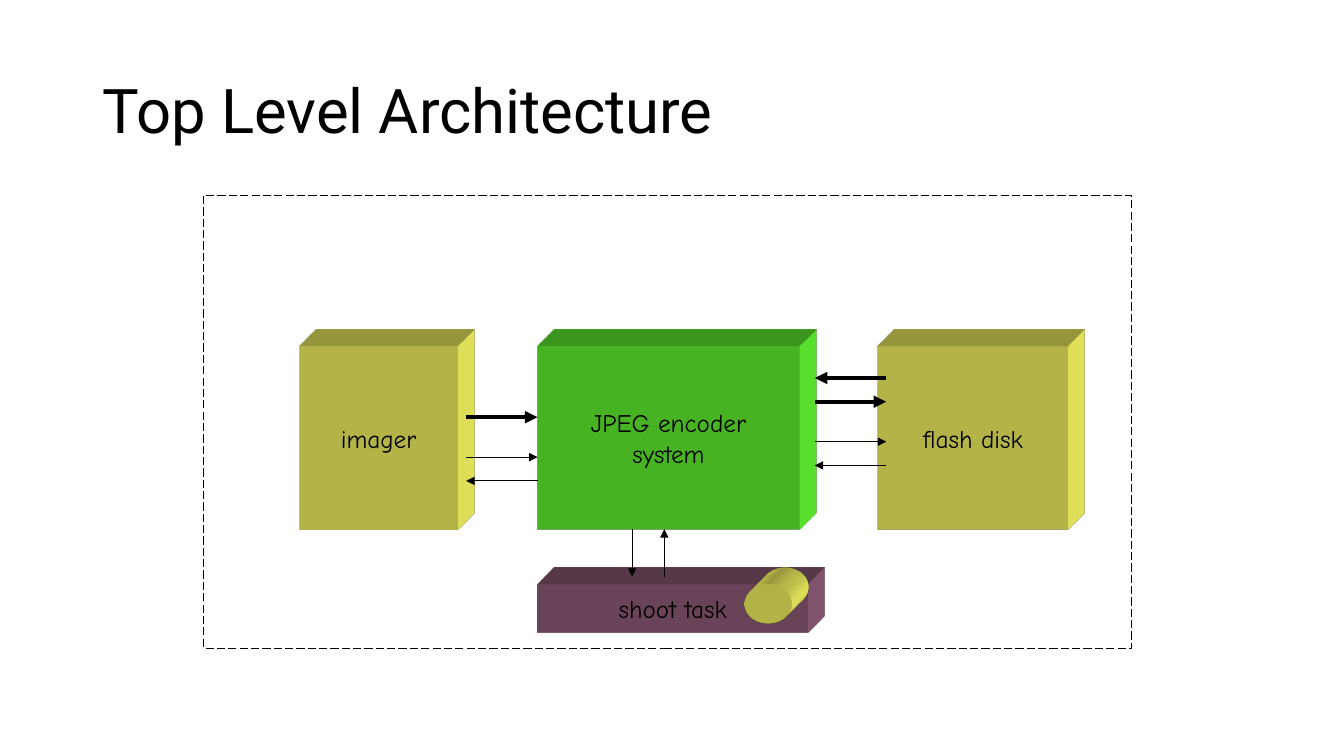
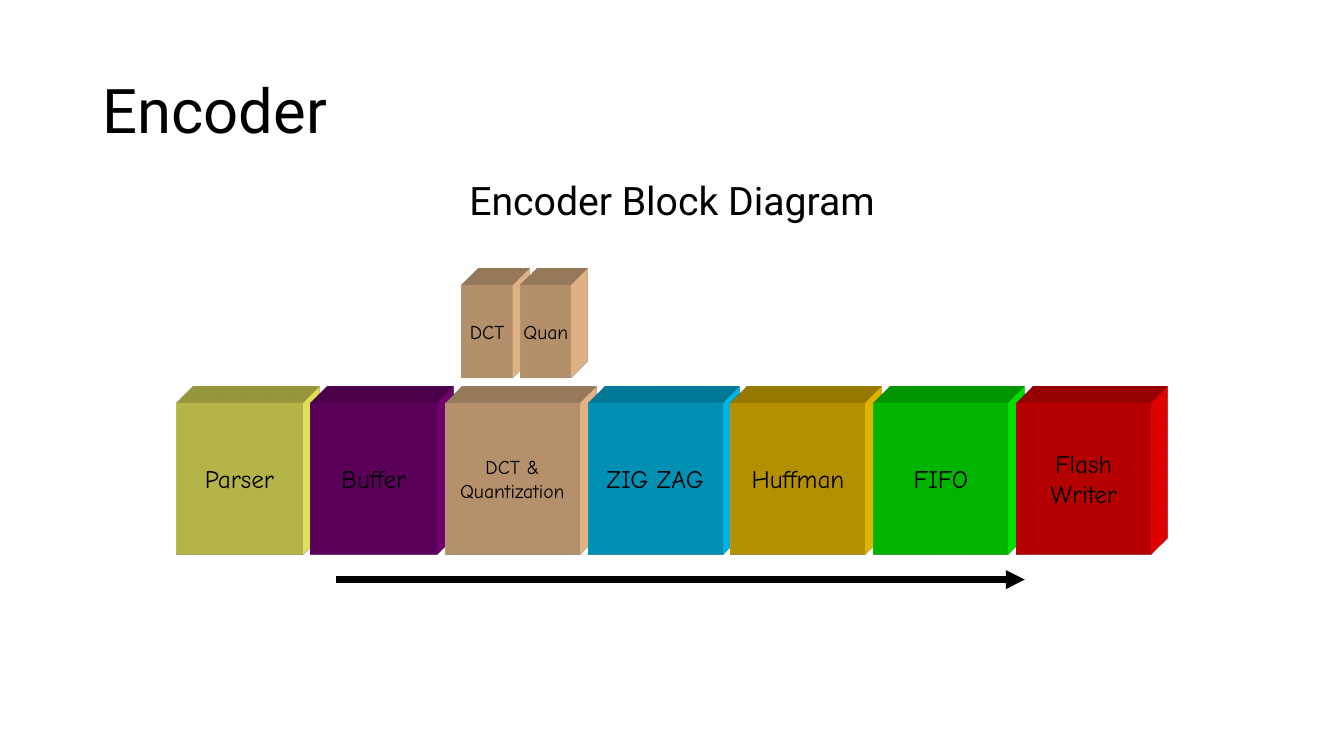
from dataclasses import dataclass

from pptx import Presentation
from pptx.dml.color import RGBColor as RGB
from pptx.enum.dml import MSO_LINE as Dash
from pptx.enum.shapes import MSO_CONNECTOR as Conn, MSO_SHAPE as Form
from pptx.enum.text import MSO_ANCHOR as Anchor, MSO_AUTO_SIZE as Fit, PP_ALIGN as Align
from pptx.oxml import parse_xml
from pptx.oxml.ns import nsdecls, qn
from pptx.slide import Slide
from pptx.text.text import TextFrame
from pptx.util import Pt

BLACK = RGB(0x00, 0x00, 0x00)
YELLOW = RGB(0xFF, 0xFF, 0x66)
LIME = RGB(0x66, 0xFF, 0x33)
MAUVE = RGB(0x96, 0x60, 0x7D)
PURPLE = RGB(0x80, 0x00, 0x80)
PEACH = RGB(0xFF, 0xCC, 0x99)
CYAN = RGB(0x00, 0xCC, 0xFF)
GOLD = RGB(0xFF, 0xCC, 0x00)
GREEN = RGB(0x00, 0xFF, 0x00)
RED = RGB(0xFF, 0x00, 0x00)

HEAD = {"name": "Roboto", "size": Pt(44)}
SUB = {"name": "Roboto", "size": Pt(28)}
LABEL = {"name": "Comic Neue", "size": Pt(18)}
SMALL = {"name": "Comic Neue", "size": Pt(14)}

SCENE = """<a:scene3d {ns}><a:camera prst="legacyObliqueTopRight"/>
<a:lightRig rig="legacyFlat3" dir="b"/></a:scene3d>"""
DEPTH = """<a:sp3d {ns} extrusionH="430200" prstMaterial="legacyMatte">
<a:bevelT w="13500" h="13500" prst="angle"/><a:bevelB w="13500" h="13500" prst="angle"/>
<a:extrusionClr><a:srgbClr val="{fill}"/></a:extrusionClr></a:sp3d>"""


@dataclass
class Block:
    text: str
    left: float
    top: float
    width: float
    height: float
    fill: RGB
    font: dict
    form: Form = Form.RECTANGLE


@dataclass
class Arrow:
    """A line with its arrowhead at the second point."""
    x1: float
    y1: float
    x2: float
    y2: float
    weight: float = 0.75


def write(frame: TextFrame, text: str, font: dict, align: Align, **format) -> None:
    frame.text = text
    frame.auto_size = Fit.NONE
    for par in frame.paragraphs:
        par.alignment = align
        for key, value in format.items():
            setattr(par, key, value)
        for run in par.runs:
            for key, value in font.items():
                setattr(run.font, key, value)
            run.font.color.rgb = BLACK


def add_slide(deck: Presentation, title: str) -> Slide:
    slide = deck.slides.add_slide(deck.slide_layouts[5])
    head = slide.shapes.title
    place = {"left": 66, "top": 28.8, "width": 828, "height": 104.4}
    for key, value in place.items():
        setattr(head, key, Pt(value))
    head.text_frame.vertical_anchor = Anchor.MIDDLE
    write(head.text_frame, title, HEAD, Align.LEFT, line_spacing=0.9)
    return slide


def add_block(slide: Slide, block: Block) -> None:
    """Draw a solid block, extruded to the upper right."""
    area = map(Pt, (block.left, block.top, block.width, block.height))
    shape = slide.shapes.add_shape(block.form, *area)
    shape.fill.solid()
    shape.fill.fore_color.rgb = block.fill
    shape.line.fill.background()
    shape.shadow.inherit = False
    for xml in (SCENE, DEPTH):
        part = xml.format(ns=nsdecls("a"), fill=block.fill)
        shape.element.spPr.append(parse_xml(part))
    if block.text:
        frame = shape.text_frame
        frame.word_wrap = False
        frame.vertical_anchor = Anchor.MIDDLE
        write(frame, block.text, block.font, Align.CENTER)


def add_arrow(slide: Slide, arrow: Arrow) -> None:
    ends = map(Pt, (arrow.x1, arrow.y1, arrow.x2, arrow.y2))
    line = slide.shapes.add_connector(Conn.STRAIGHT, *ends)
    line.line.color.rgb = BLACK
    line.line.width = Pt(arrow.weight)
    props = line.element.spPr
    tip = parse_xml(f'<a:tailEnd {nsdecls("a")} type="triangle"/>')
    props.find(qn("a:ln")).append(tip)
    props.append(parse_xml(f'<a:effectLst {nsdecls("a")}/>'))


def add_frame(slide: Slide) -> None:
    area = map(Pt, (145.5, 139.5, 663, 323.5))
    frame = slide.shapes.add_shape(Form.RECTANGLE, *area)
    frame.fill.background()
    frame.shadow.inherit = False
    for key, value in {"width": Pt(0.75), "dash_style": Dash.LONG_DASH}.items():
        setattr(frame.line, key, value)
    frame.line.color.rgb = BLACK


def build_system(deck: Presentation) -> None:
    slide = add_slide(deck, "Top Level Architecture")
    top, tall = 247.7, 130.3
    base = top + tall
    mid, low = 384, 417.6
    for block in (
        Block("imager", 214, top, 113, tall, YELLOW, LABEL),
        Block("flash disk", 627, top, 136, tall, YELLOW, LABEL),
        Block("JPEG encoder\vsystem", mid, top, 187, tall, LIME, LABEL),
    ):
        add_block(slide, block)
    add_frame(slide)
    add_block(slide, Block("shoot task", mid, low, 193, 34, MAUVE, LABEL))
    add_block(slide, Block("", 531.5, low, 34, 28, YELLOW, LABEL, Form.OVAL))

    near, far = 582, 633
    for arrow in (
        Arrow(451.5, base, 451.5, base + 34),
        Arrow(474.5, base + 34, 474.5, base),
        Arrow(mid, 343.5, mid - 51, 343.5),
        Arrow(mid - 51, 326.5, mid, 326.5),
        Arrow(mid - 51, 298, mid, 298, 3),
        Arrow(far, 332.5, near, 332.5),
        Arrow(near, 315.5, far, 315.5),
        Arrow(near, 287, far, 287, 3),
        Arrow(far, 270, near, 270, 3),
    ):
        add_arrow(slide, arrow)


def build_coder(deck: Presentation) -> None:
    slide = add_slide(deck, "Encoder")
    box = slide.shapes.add_textbox(*map(Pt, (132, 126, 696, 42)))
    box.text_frame.word_wrap = True
    write(box.text_frame, "Encoder Block Diagram", SUB, Align.CENTER,
          line_spacing=0.9, space_before=Pt(10))

    gap, left = 6, 126
    for text, width, fill, font in (
        ("Parser", 90, YELLOW, LABEL),
        ("Buffer", 90, PURPLE, LABEL),
        ("DCT &\nQuantization", 96, PEACH, SMALL),
        ("ZIG ZAG", 96, CYAN, LABEL),
        ("Huffman", 96, GOLD, LABEL),
        ("FIFO", 96, GREEN, LABEL),
        ("Flash\nWriter", 96, RED, LABEL),
    ):
        add_block(slide, Block(text, left, 288, width, 108, fill, font))
        left += width + gap
    add_arrow(slide, Arrow(240, 414, 732, 414, 4.5))
    for step, text in enumerate(("DCT", "Quan")):
        left = 330 + step * (36 + gap)
        add_block(slide, Block(text, left, 204, 36, 66, PEACH, SMALL))


def main() -> None:
    deck = Presentation()
    deck.slide_width, deck.slide_height = Pt(960), Pt(540)
    build_system(deck)
    build_coder(deck)
    deck.save("out.pptx")


if __name__ == "__main__":
    main()
